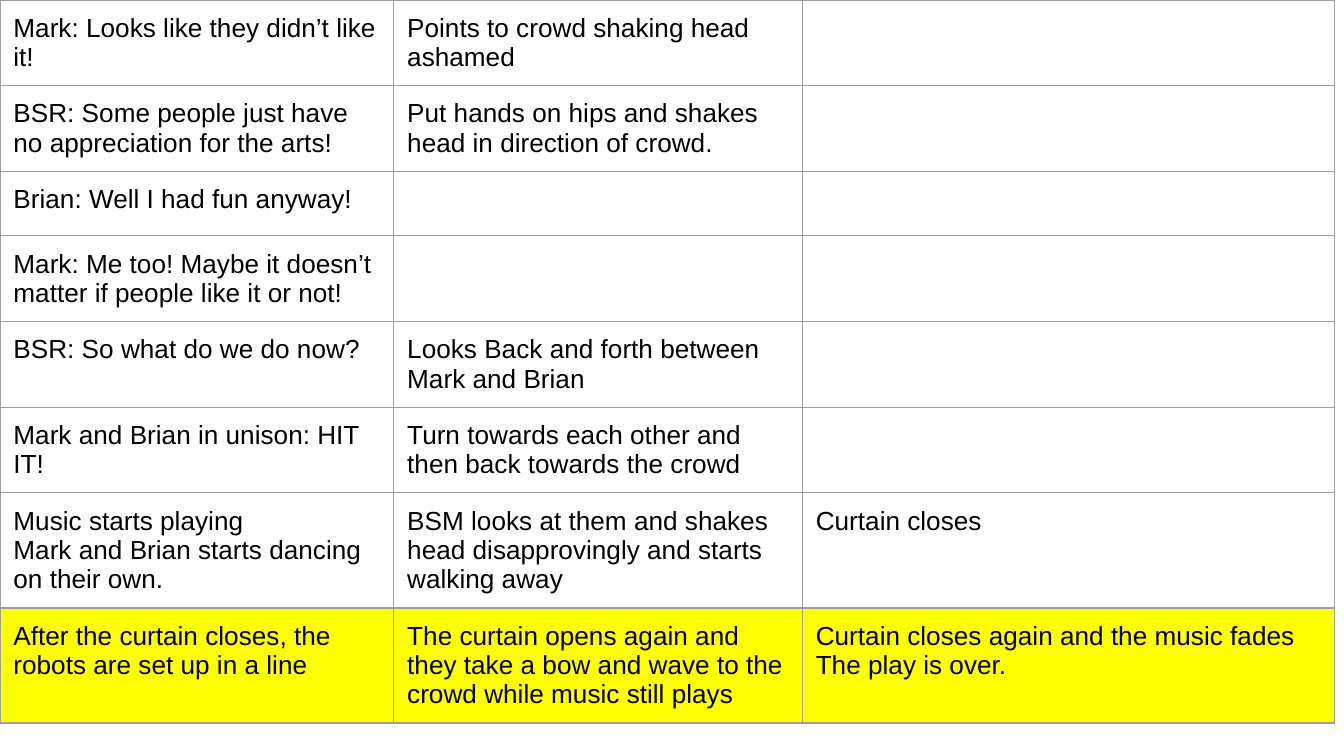
from dataclasses import dataclass

from lxml import etree
from pptx import Presentation
from pptx import util as u
from pptx.dml.color import RGBColor
from pptx.oxml.ns import qn


@dataclass(frozen=True)
class Theme:
    font: str = "Arial"
    size: float = 14
    empty_size: float = 18
    ink: str = "000000"
    border: str = "9E9E9E"
    border_width: float = 0.75
    highlight: str = "FFFF00"
    padding: float = 0.1


THEME = Theme()
SLIDE_WIDTH = 10
SLIDE_HEIGHT = SLIDE_WIDTH * 9 / 16
COLUMN_WIDTHS = (2.93, 3.04, 3.96)
ROW_HEIGHT = 0.42  # minimum; rows grow with their text

# Dialogue, movement, stage direction
SCENES = [
    ("Mark: Looks like they didn’t like it!",
     "Points to crowd shaking head ashamed", ""),
    ("BSR: Some people just have no appreciation for the arts!",
     "Put hands on hips and shakes head in direction of crowd.", ""),
    ("Brian: Well I had fun anyway!", "", ""),
    ("Mark: Me too! Maybe it doesn’t matter if people like it or not!", "", ""),
    ("BSR: So what do we do now?",
     "Looks Back and forth between Mark and Brian", ""),
    ("Mark and Brian in unison: HIT IT!",
     "Turn towards each other and then back towards the crowd", ""),
    ("Music starts playing\nMark and Brian starts dancing on their own.",
     "BSM looks at them and shakes head disapprovingly and starts walking away",
     "Curtain closes"),
    ("After the curtain closes, the robots are set up in a line",
     "The curtain opens again and they take a bow and wave to the crowd "
     "while music still plays",
     "Curtain closes again and the music fades\nThe play is over."),
]


def set_borders(cell):
    properties = cell._tc.get_or_add_tcPr()
    for side in ("lnL", "lnR", "lnT", "lnB"):
        line = etree.SubElement(properties, qn(f"a:{side}"),
                                w=str(u.Pt(THEME.border_width)))
        fill = etree.SubElement(line, qn("a:solidFill"))
        etree.SubElement(fill, qn("a:srgbClr"), val=THEME.border)


def set_fill(cell, color):
    if color:
        cell.fill.solid()
        cell.fill.fore_color.rgb = RGBColor.from_string(color)
    else:
        cell.fill.background()


def set_empty_font(cell):
    # The font of an empty paragraph sets the row's least height
    paragraph = cell.text_frame.paragraphs[0]
    mark = etree.SubElement(paragraph._p, qn("a:endParaRPr"),
                            sz=str(THEME.empty_size * 100))
    etree.SubElement(mark, qn("a:latin"), typeface=THEME.font)


def write_text(cell, content):
    for side in ("left", "right", "top", "bottom"):
        setattr(cell, f"margin_{side}", u.Inches(THEME.padding))
    if not content:
        set_empty_font(cell)
        return
    cell.text_frame.text = content
    font_format = {"name": THEME.font, "size": u.Pt(THEME.size), "bold": False}
    for paragraph in cell.text_frame.paragraphs:
        for run in paragraph.runs:
            for name, value in font_format.items():
                setattr(run.font, name, value)
            run.font.color.rgb = RGBColor.from_string(THEME.ink)


def add_script_table(slide, scenes):
    frame = slide.shapes.add_table(
        len(scenes), len(COLUMN_WIDTHS), 0, 0,
        u.Inches(sum(COLUMN_WIDTHS)), u.Inches(ROW_HEIGHT * len(scenes)))
    table = frame.table
    table.first_row = table.horz_banding = False
    for column, width in zip(table.columns, COLUMN_WIDTHS):
        column.width = u.Inches(width)

    for row, scene in zip(table.rows, scenes):
        row.height = u.Inches(ROW_HEIGHT)
        # The closing scene stands out
        color = THEME.highlight if scene is scenes[-1] else None
        for cell, content in zip(row.cells, scene):
            set_borders(cell)
            set_fill(cell, color)
            write_text(cell, content)


def main():
    presentation = Presentation()
    presentation.slide_width = u.Inches(SLIDE_WIDTH)
    presentation.slide_height = u.Inches(SLIDE_HEIGHT)
    blank_layout = presentation.slide_layouts[6]
    slide = presentation.slides.add_slide(blank_layout)
    add_script_table(slide, SCENES)
    presentation.save("out.pptx")


if __name__ == "__main__":
    main()
